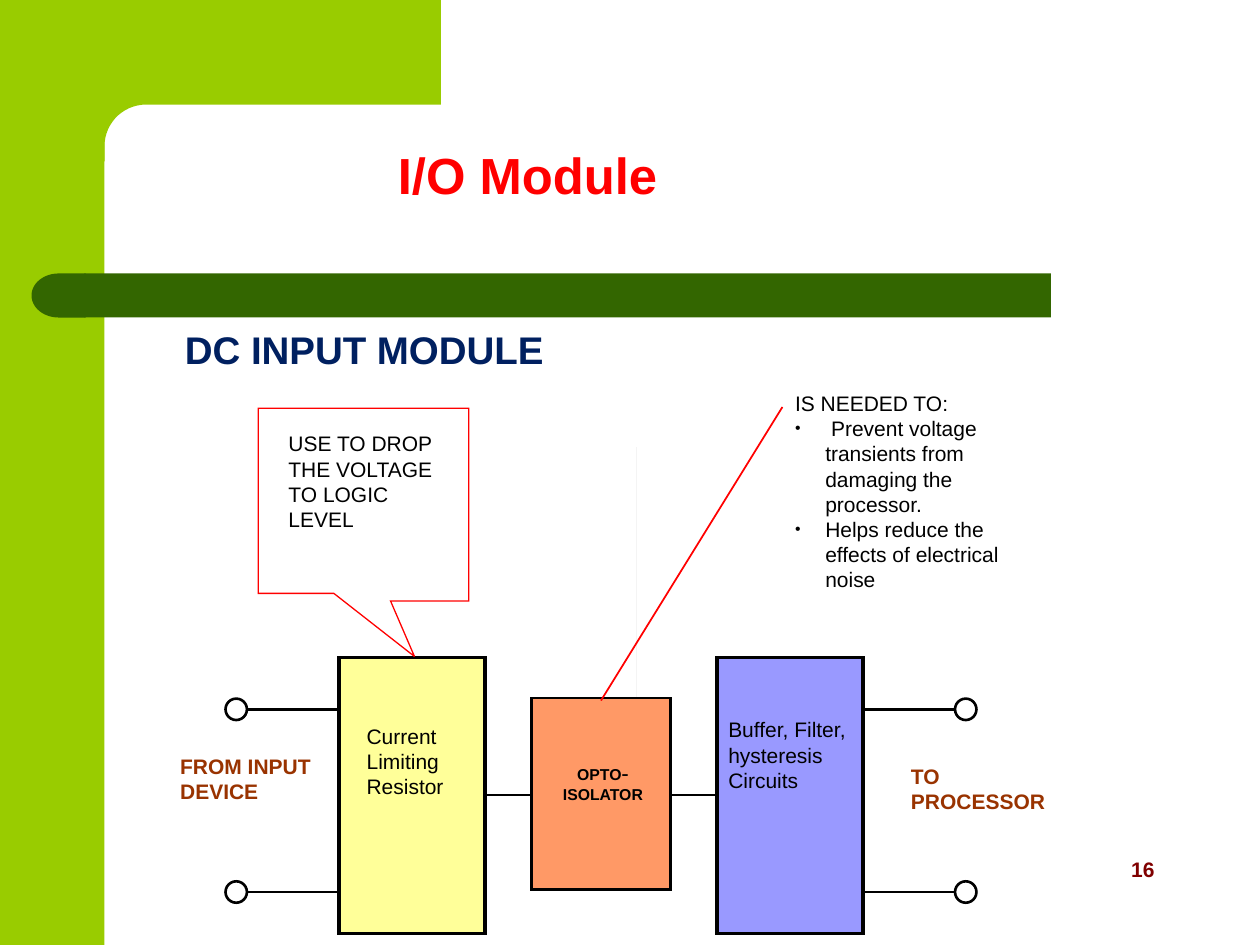
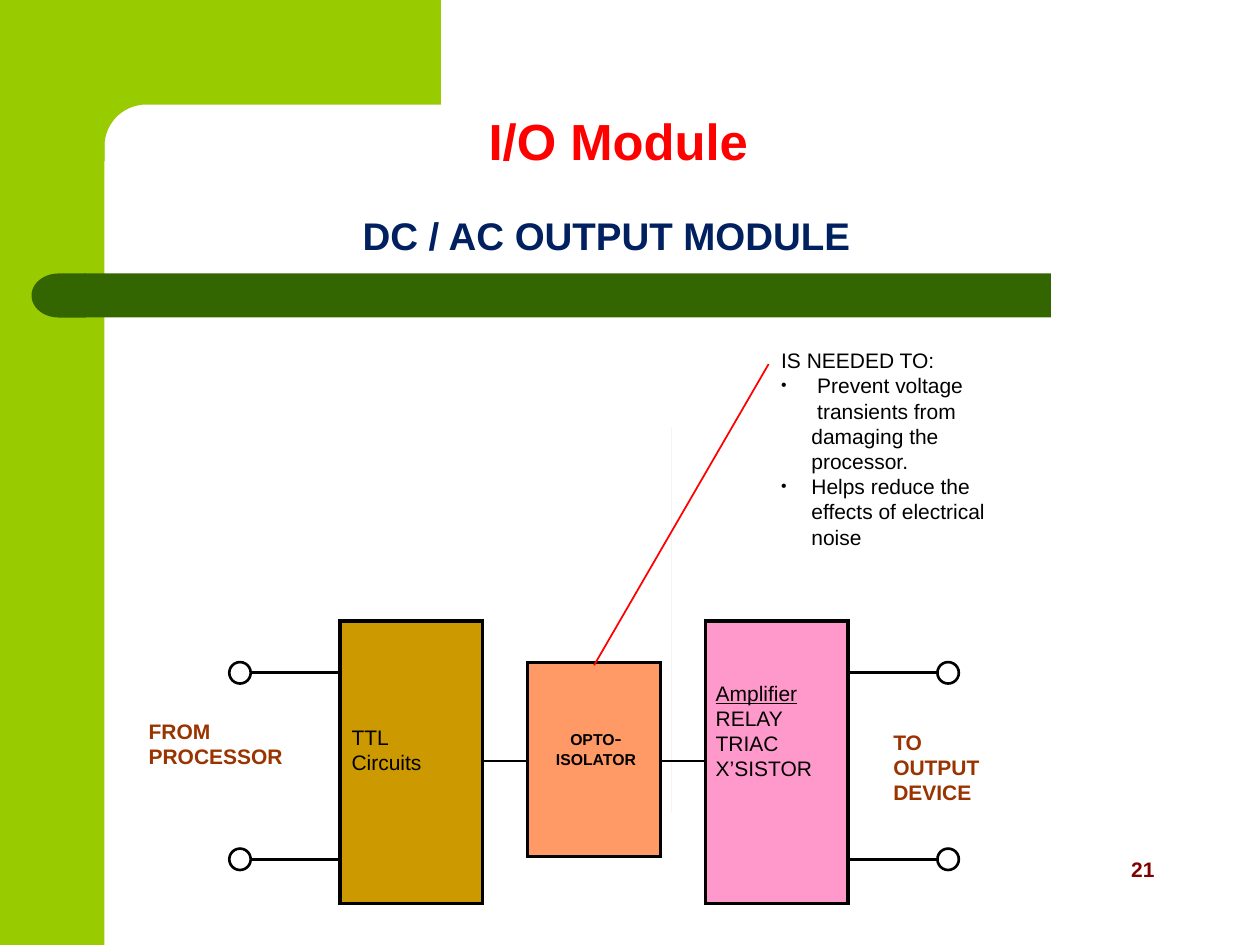
import math

import lxml.etree
import pptx
import pptx.dml.color
import pptx.enum.shapes
import pptx.enum.text
import pptx.oxml.ns
import pptx.util

Inches = pptx.util.Inches
SHAPES = pptx.enum.shapes.MSO_SHAPE
qn = pptx.oxml.ns.qn

LIME, GREEN, RED, NAVY = "99CC00", "336600", "FF0000", "002060"
MAROON, RUST, BLACK, ORANGE, FAINT = "800000", "993300", "000000", "FF9966", "F4F4F4"

# Boxes are (left, top, width, height) in inches; a text is (box, lines).
MODULES = [
    {
        "number": "16",
        "title": ((3.06, 1.09, 2.26, 0.59), ["I/O Module"]),
        "heading": ((1.37, 2.54, 8.5, 0.47), ["DC INPUT MODULE"]),
        "blocks": [((2.69, 5.22, 1.16, 2.19), "FFFF99"), ((5.69, 5.22, 1.16, 2.19), "9999FF")],
        "block_texts": [
            ((2.9, 5.73, 0.82, 0.8), ["Current", "Limiting", "Resistor"]),
            ((5.77, 5.68, 1.02, 1.06), ["Buffer, Filter, hysteresis Circuits"]),
        ],
        "ends": [
            ((1.42, 5.97, 1.21, 0.77), ["FROM INPUT", "DEVICE"]),
            ((7.22, 6.05, 1.45, 0.77), ["TO", "PROCESSOR"]),
        ],
        "opto": (5.54, 1.1, 1.52),  # top, width, height
        "lead": 0.73,
        "lead_rows": [5.63, 7.08],
        "hairline": (5.05, 3.55, 6.54),
        "note": ((6.3, 3.09, 1.72, 1.96), [
            "IS NEEDED TO:",
            " Prevent voltage transients from damaging the processor.",
            "Helps reduce the effects of electrical noise",
        ]),
        "callout": ((2.28, 3.41, 1.23, 1.15), ["USE TO DROP THE VOLTAGE TO LOGIC LEVEL"]),
        "callout_outline": [(2.05, 3.24), (2.05, 4.71), (2.65, 4.71), (3.29, 5.21),
                            (3.1, 4.77), (3.72, 4.77), (3.72, 3.24)],
    },
    {
        "number": "21",
        "title": ((3.78, 0.82, 2.26, 0.59), ["I/O Module"]),
        "heading": ((2.78, 1.63, 6.06, 0.47), ["DC / AC OUTPUT MODULE"]),
        "blocks": [((2.7, 4.93, 1.13, 2.24), "CC9900"), ((5.6, 4.93, 1.13, 2.24), "FF99CC")],
        "block_texts": [
            ((2.78, 5.74, 0.92, 0.82), ["TTL", "Circuits"]),
            ((5.67, 5.39, 0.99, 1.08), ["Amplifier", "RELAY", "TRIAC", "X’SISTOR"]),
        ],
        "ends": [
            ((1.17, 5.69, 1.47, 0.78), ["FROM PROCESSOR"]),
            ((7.08, 5.78, 1.4, 0.78), ["TO", "OUTPUT", "DEVICE"]),
        ],
        "opto": (5.26, 1.06, 1.54),
        "lead": 0.71,
        "lead_rows": [5.34, 6.82],
        "hairline": (5.33, 3.39, 6.45),
        "note": ((6.19, 2.75, 1.66, 2), [
            "IS NEEDED TO:",
            " Prevent voltage\v transients from damaging the processor.",
            "Helps reduce the effects of electrical noise",
        ]),
    },
]
UNDERLINED = "Amplifier"
TERMINAL = 0.17


def rgb(code):
    return pptx.dml.color.RGBColor.from_string(code)


def paint(shape, fill=None, line=None, weight=1.5):
    shape.shadow.inherit = False
    if fill:
        shape.fill.solid()
        shape.fill.fore_color.rgb = rgb(fill)
    else:
        shape.fill.background()
    if line:
        shape.line.color.rgb = rgb(line)
        shape.line.width = pptx.util.Pt(weight)
        stroke = shape._element.spPr.find(qn("a:ln"))
        lxml.etree.SubElement(stroke, qn("a:miter"), lim="800000")
    else:
        shape.line.fill.background()
    return shape


def draw(slide, kind, box, **style):
    return paint(slide.shapes.add_shape(kind, *map(Inches, box)), **style)


def outline(slide, points, **style):
    corners = [(Inches(x), Inches(y)) for x, y in points]
    builder = slide.shapes.build_freeform(*corners[0])
    builder.add_line_segments(corners[1:], close=True)
    return paint(builder.convert_to_shape(), **style)


def wire(slide, start, end, color=BLACK, weight=1.5):
    connector = slide.shapes.add_connector(
        pptx.enum.shapes.MSO_CONNECTOR.STRAIGHT, *map(Inches, (*start, *end)))
    connector.line.color.rgb = rgb(color)
    connector.line.width = pptx.util.Pt(weight)
    lxml.etree.SubElement(connector._element.spPr, qn("a:effectLst"))


def style_run(run, size, color, bold, font="Arial"):
    run.font.name, run.font.size, run.font.bold = font, pptx.util.Pt(size), bold
    run.font.color.rgb = rgb(color)


def write(slide, text, size=12, color=BLACK, bold=False, inset=(0.01, 0.01), wrap=True):
    box, lines = text
    frame = slide.shapes.add_textbox(*map(Inches, box)).text_frame
    frame.word_wrap = wrap
    frame.margin_left = frame.margin_right = Inches(inset[0])
    frame.margin_top = frame.margin_bottom = Inches(inset[1])
    frame.text = "\n".join(lines)
    for paragraph in frame.paragraphs:
        for run in paragraph.runs:
            style_run(run, size, color, bold)
            if run.text == UNDERLINED:
                run.font.underline = True
    return frame


def add_bullet(paragraph):
    properties = paragraph._p.get_or_add_pPr()
    properties.set("marL", str(Inches(0.24)))
    properties.set("indent", str(-Inches(0.24)))
    color = lxml.etree.SubElement(properties, qn("a:buClr"))
    lxml.etree.SubElement(color, qn("a:srgbClr"), val=BLACK)
    lxml.etree.SubElement(properties, qn("a:buSzPct"), val="75000")
    lxml.etree.SubElement(properties, qn("a:buFont"), typeface="Arial")
    lxml.etree.SubElement(properties, qn("a:buChar"), char="•")


def draw_frame(slide, module):
    """Green corner and bar, title, heading and slide number."""
    edge, radius = 0.83, 0.33
    center = edge + radius
    arc = [(center - radius * math.sin(angle), center - radius * math.cos(angle))
           for angle in (math.radians(step) for step in range(0, 91, 6))]
    draw(slide, SHAPES.RECTANGLE, (0, 0, edge, 7.5), fill=LIME)
    outline(slide, [(0.5, 0), (3.5, 0), (3.5, edge), *arc, (edge, 1.28), (0.5, 1.28)], fill=LIME)
    draw(slide, SHAPES.RECTANGLE, (0.67, 2.17, 7.67, 0.35), fill=GREEN)
    draw(slide, SHAPES.FLOWCHART_DELAY, (0.25, 2.17, 0.43, 0.35), fill=GREEN).rotation = 180
    margins = (0.1, 0.05)
    write(slide, ((8.88, 6.75, 1, 0.3), [module["number"]]), 12, MAROON, True, margins, False)
    write(slide, module["title"], 29, RED, True, margins, False)
    write(slide, module["heading"], 22, NAVY, True, margins)


def draw_opto(slide, box):
    left, top, width, height = box
    draw(slide, SHAPES.RECTANGLE, box, fill=ORANGE, line=BLACK)
    label = ((left + 0.13, top + 0.48, width - 0.23, 0.63), ["OPTO", "ISOLATOR"])
    paragraphs = write(slide, label, 9, bold=True).paragraphs
    hyphen = paragraphs[0].add_run()
    hyphen.text = "-"
    style_run(hyphen, 12, BLACK, True, "Times New Roman")
    for paragraph in paragraphs:
        paragraph.alignment = pptx.enum.text.PP_ALIGN.CENTER


def draw_lead(slide, block_edge, terminal_edge, row):
    """Wire from a block to its round terminal."""
    wire(slide, (block_edge, row), (terminal_edge, row))
    left = terminal_edge - TERMINAL if terminal_edge < block_edge else terminal_edge
    draw(slide, SHAPES.OVAL, (left, row - TERMINAL / 2, TERMINAL, TERMINAL), line=BLACK)


def draw_circuit(slide, module):
    (left_block, _), (right_block, _) = module["blocks"]
    left_inner = left_block[0] + left_block[2]
    right_inner = right_block[0]
    right_outer = right_block[0] + right_block[2]
    opto_top, opto_width, opto_height = module["opto"]
    middle = (left_inner + right_inner) / 2
    opto_left, opto_right = middle - opto_width / 2, middle + opto_width / 2

    x, top, bottom = module["hairline"]
    wire(slide, (x, top), (x, bottom), FAINT, 0.1)
    draw_opto(slide, (opto_left, opto_top, opto_width, opto_height))
    note_left, note_top = module["note"][0][:2]
    wire(slide, (middle, opto_top + 0.02), (note_left - 0.09, note_top + 0.14), RED, 1)
    for reason in write(slide, module["note"]).paragraphs[1:]:
        add_bullet(reason)

    row = opto_top + opto_height / 2 + 0.01
    wire(slide, (left_inner, row), (opto_left, row))
    wire(slide, (opto_right, row), (right_inner, row))
    for box, fill in module["blocks"]:
        draw(slide, SHAPES.RECTANGLE, box, fill=fill, line=BLACK, weight=2)
    for text in module["block_texts"]:
        write(slide, text)
    for text in module["ends"]:
        write(slide, text, color=RUST, bold=True)
    for row in module["lead_rows"]:
        draw_lead(slide, left_block[0], left_block[0] - module["lead"], row)
        draw_lead(slide, right_outer, right_outer + module["lead"], row)

    if "callout" in module:
        outline(slide, module["callout_outline"], line=RED, weight=0.75)
        write(slide, module["callout"])


def main():
    deck = pptx.Presentation()
    deck.slide_width, deck.slide_height = Inches(10), Inches(7.5)
    for module in MODULES:
        slide = deck.slides.add_slide(deck.slide_layouts[6])
        draw_frame(slide, module)
        draw_circuit(slide, module)
    deck.save("out.pptx")


if __name__ == "__main__":
    main()
